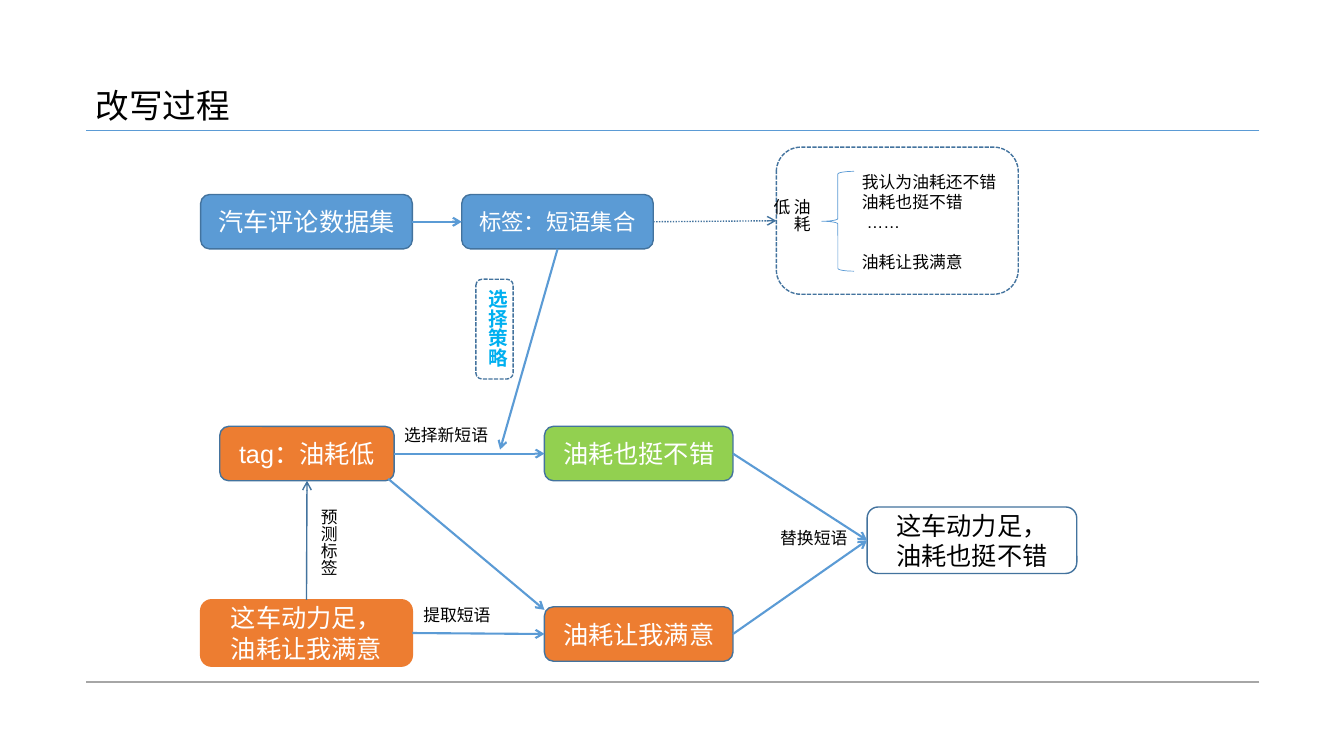
from lxml.etree import SubElement
from pptx import Presentation
from pptx.dml.color import RGBColor
from pptx.enum.dml import MSO_LINE
from pptx.enum.shapes import MSO_CONNECTOR, MSO_SHAPE
from pptx.enum.text import MSO_ANCHOR, MSO_AUTO_SIZE, PP_ALIGN
from pptx.oxml.ns import qn
from pptx.util import Inches, Pt

BLUE = RGBColor(0x5B, 0x9B, 0xD5)
DARK_BLUE = RGBColor(0x43, 0x73, 0x9E)
CYAN = RGBColor(0x00, 0xB0, 0xF0)
ORANGE = RGBColor(0xED, 0x7D, 0x31)
GREEN = RGBColor(0x92, 0xD0, 0x50)
GRAY = RGBColor(0xA6, 0xA6, 0xA6)
WHITE = RGBColor(0xFF, 0xFF, 0xFF)
BLACK = RGBColor(0x00, 0x00, 0x00)
TOP, LEFT, BOTTOM, RIGHT = range(4)


class FlowSlide:
    font = "Arial"

    def __init__(self, slide):
        self.slide = slide

    def set_text(self, frame, text, size, color, align=PP_ALIGN.LEFT, bold=False):
        frame.text = text
        frame.word_wrap = True
        for paragraph in frame.paragraphs:
            paragraph.alignment = align
            for run in paragraph.runs:
                run.font.name = self.font
                run.font.size = Pt(size)
                run.font.bold = bold
                run.font.color.rgb = color

    def title(self, text, left, top, width, height):
        shape = self.slide.shapes.title
        shape.left, shape.top = Inches(left), Inches(top)
        shape.width, shape.height = Inches(width), Inches(height)
        self.set_text(shape.text_frame, text, 24, BLACK)
        shape.text_frame.vertical_anchor = MSO_ANCHOR.TOP

    def label(self, text, left, top, width, height, size=12, color=BLACK, bold=False, vertical=False):
        shape = self.slide.shapes.add_textbox(Inches(left), Inches(top), Inches(width), Inches(height))
        frame = shape.text_frame
        self.set_text(frame, text, size, color, bold=bold)
        frame.auto_size = MSO_AUTO_SIZE.SHAPE_TO_FIT_TEXT
        if vertical:
            shape._element.txBody.bodyPr.set("vert", "eaVert")
        return shape

    def outline(self, kind, left, top, width, height, color=DARK_BLUE, weight=1, dash=None):
        shape = self.slide.shapes.add_shape(kind, Inches(left), Inches(top), Inches(width), Inches(height))
        shape.shadow.inherit = False
        shape.fill.background()
        shape.line.color.rgb = color
        shape.line.width = Pt(weight)
        if dash:
            shape.line.dash_style = dash
        return shape

    def box(self, text, left, top, width, height, fill, size=18, color=WHITE, line=DARK_BLUE):
        shape = self.outline(MSO_SHAPE.ROUNDED_RECTANGLE, left, top, width, height, line)
        shape.fill.solid()
        shape.fill.fore_color.rgb = fill
        self.set_text(shape.text_frame, text, size, color, PP_ALIGN.CENTER)
        shape.text_frame.vertical_anchor = MSO_ANCHOR.MIDDLE
        return shape

    def line(self, start, end, color=BLUE, weight=1.5, dash=None):
        points = [Inches(value) for value in (*start, *end)]
        connector = self.slide.shapes.add_connector(MSO_CONNECTOR.STRAIGHT, *points)
        connector.line.color.rgb = color
        connector.line.width = Pt(weight)
        if dash:
            connector.line.dash_style = dash
        SubElement(connector._element.spPr, qn("a:effectLst"))
        return connector

    def arrow(self, start, end, **style):
        points = [(0, 0) if hasattr(place[0], "shape_id") else place for place in (start, end)]
        connector = self.line(*points, **style)
        SubElement(connector._element.spPr.find(qn("a:ln")), qn("a:tailEnd"), type="arrow")
        for place, connect in ((start, connector.begin_connect), (end, connector.end_connect)):
            if hasattr(place[0], "shape_id"):
                connect(*place)


presentation = Presentation()
presentation.slide_width = Inches(13.33)
presentation.slide_height = Inches(7.5)
flow = FlowSlide(presentation.slides.add_slide(presentation.slide_layouts[5]))

flow.title("改写过程", 0.85, 0.79, 11.69, 0.5)
flow.line((12.49, 1.29), (0.85, 1.29), weight=0.5)
flow.line((12.49, 6.77), (0.85, 6.77), GRAY)

dataset = flow.box("汽车评论数据集", 1.99, 1.93, 2.1, 0.54, BLUE)
phrase_set = flow.box("标签：短语集合", 4.58, 1.93, 1.9, 0.54, BLUE, size=16)
comment = flow.box("这车动力足，\n油耗让我满意", 1.99, 5.95, 2.1, 0.66, ORANGE, line=ORANGE)
tag = flow.box("tag：油耗低", 2.18, 4.23, 1.73, 0.54, ORANGE)
new_phrase = flow.box("油耗也挺不错", 5.4, 4.23, 1.87, 0.54, GREEN)
old_phrase = flow.box("油耗让我满意", 5.4, 6.02, 1.87, 0.54, ORANGE)
rewritten = flow.box("这车动力足，\n油耗也挺不错", 8.6, 5.03, 2.08, 0.66, WHITE, color=BLACK)

example = flow.outline(MSO_SHAPE.ROUNDED_RECTANGLE, 7.7, 1.46, 2.4, 1.46, dash=MSO_LINE.SQUARE_DOT)
flow.label("油耗低", 7.7, 1.87, 0.4, 0.65, vertical=True)
flow.outline(MSO_SHAPE.LEFT_BRACE, 8.15, 1.7, 0.32, 0.99, BLUE, 0.5)
phrases = flow.label("我认为油耗还不错\n油耗也挺不错\n ……\n油耗让我满意", 8.45, 1.65, 2.39, 1.11)
phrases.text_frame.paragraphs[-1].space_before = Pt(14)

for start, end in [
    ((dataset, RIGHT), (phrase_set, LEFT)),
    ((phrase_set, BOTTOM), (4.96, 4.46)),
    ((tag, RIGHT), (new_phrase, LEFT)),
    ((3.85, 4.75), (5.4, 6.05)),
    ((comment, RIGHT), (old_phrase, LEFT)),
    ((new_phrase, RIGHT), (rewritten, LEFT)),
    ((old_phrase, RIGHT), (rewritten, LEFT)),
]:
    flow.arrow(start, end)
flow.arrow((comment, TOP), (tag, BOTTOM), color=DARK_BLUE, weight=1)
flow.arrow((phrase_set, RIGHT), (example, LEFT), color=DARK_BLUE, weight=1, dash=MSO_LINE.ROUND_DOT)

flow.label("预测标签", 3.01, 4.95, 0.4, 0.96, vertical=True)
flow.label("选择新短语", 3.91, 4.16, 2.39, 0.3)
flow.label("提取短语", 4.1, 5.95, 2.39, 0.3)
flow.label("替换短语", 7.64, 5.19, 0.9, 0.3)
flow.label("选择策略", 4.66, 2.77, 0.44, 0.99, 14, CYAN, bold=True, vertical=True)
flow.outline(MSO_SHAPE.ROUNDED_RECTANGLE, 4.72, 2.77, 0.37, 0.99, dash=MSO_LINE.SQUARE_DOT)

presentation.save("out.pptx")
